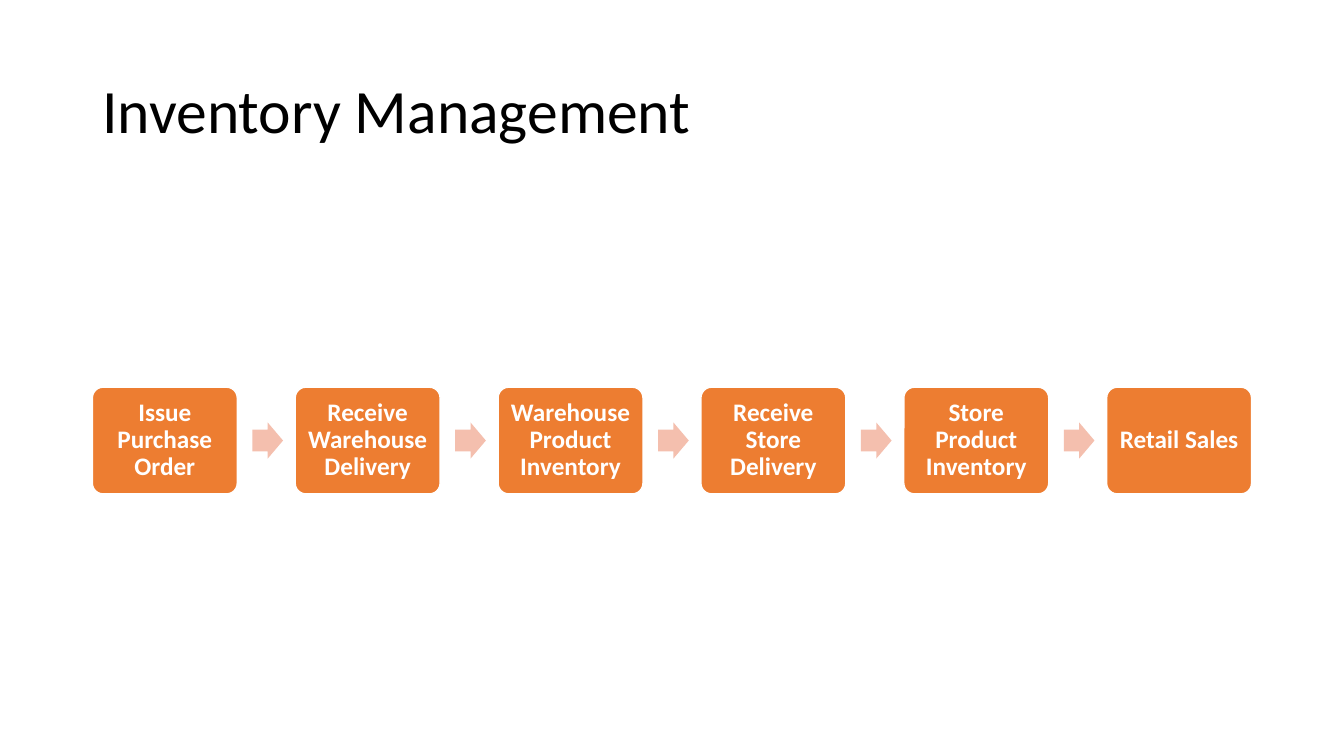
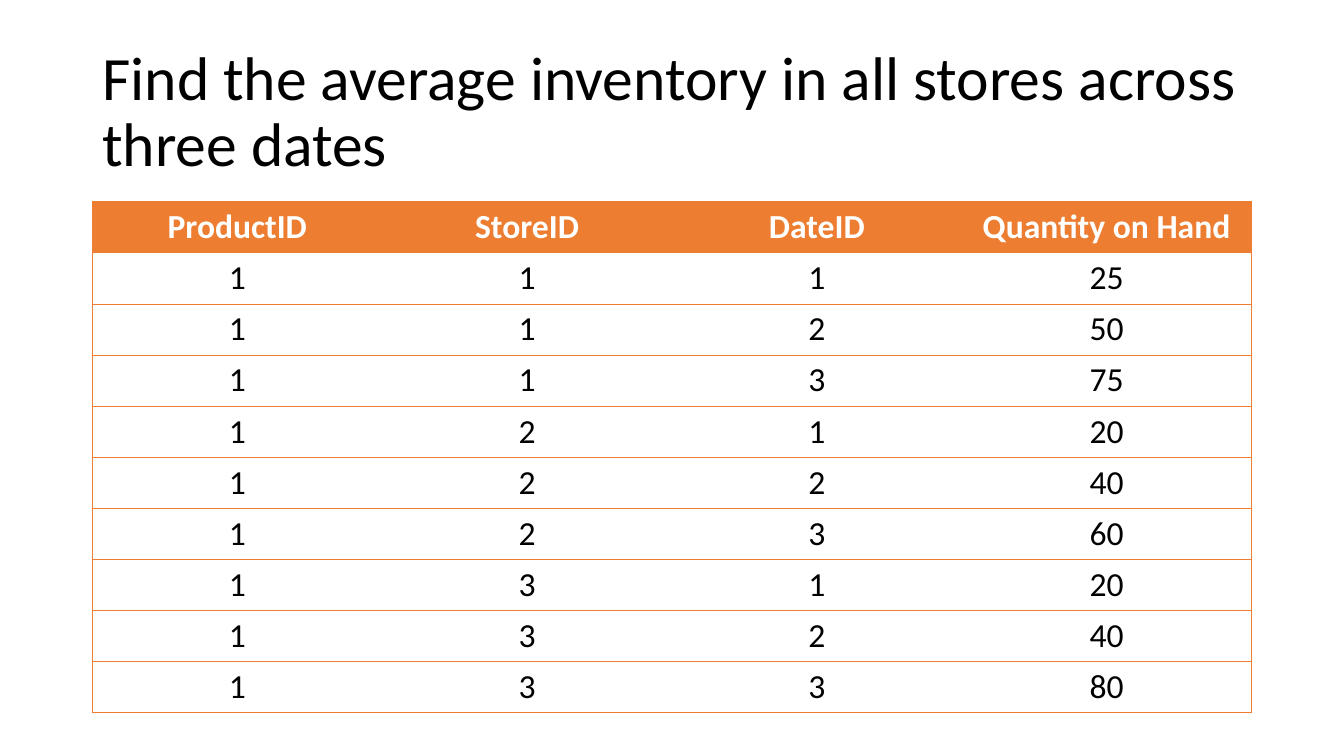
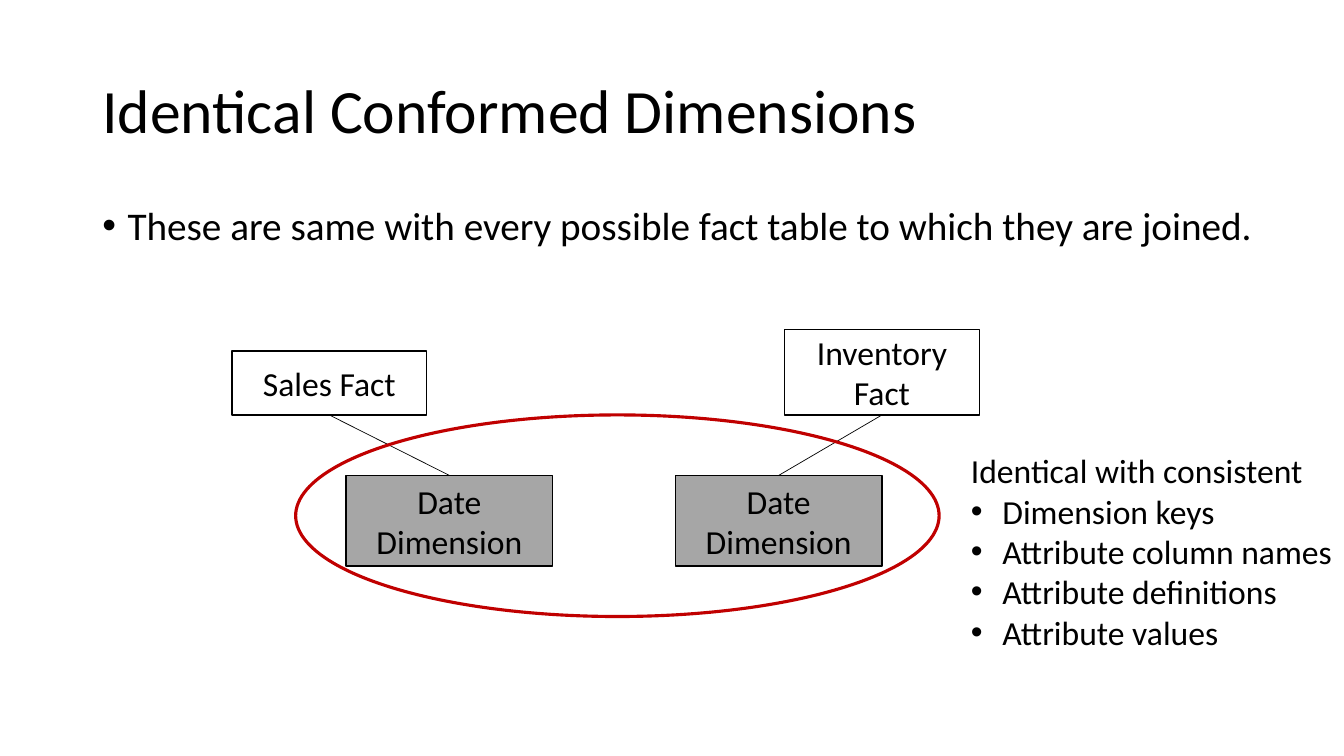
import lxml.etree
import pptx
import pptx.dml.color
import pptx.enum.shapes
import pptx.enum.text
import pptx.oxml.ns
import pptx.util

SHAPES = pptx.enum.shapes.MSO_SHAPE
ALIGN = pptx.enum.text.PP_ALIGN
ANCHOR = pptx.enum.text.MSO_ANCHOR
FIT = pptx.enum.text.MSO_AUTO_SIZE

COLORS = {
    "ink": "000000",
    "paper": "FFFFFF",
    "accent": "ED7D31",
    "arrow": "F4BFAE",
    "dimension": "A6A6A6",
    "highlight": "C00000",
}
FONT = "Calibri"
COLUMNS, ROWS = 160, 90  # grid cells are square, twelve to the inch
MARGIN, CONTENT_WIDTH, CONTENT_TOP = 11, 138, 24


def color(name):
    return pptx.dml.color.RGBColor.from_string(COLORS[name])


def add_xml(parent, tag, **attributes):
    return lxml.etree.SubElement(parent, pptx.oxml.ns.qn(tag), attributes)


class Pages:
    """Holds the deck, its style and the current page; lengths are grid cells."""

    def __init__(self):
        self.deck = pptx.Presentation()
        self.deck.slide_width = pptx.util.Inches(13.33)
        self.deck.slide_height = pptx.util.Inches(7.5)
        self.page = None

    def across(self, columns):
        return pptx.util.Emu(round(self.deck.slide_width * columns / COLUMNS))

    def down(self, rows):
        return pptx.util.Emu(round(self.deck.slide_height * rows / ROWS))

    def area(self, left, top, width, height):
        return self.across(left), self.down(top), self.across(width), self.down(height)

    def new_page(self, title):
        self.page = self.deck.slides.add_slide(self.deck.slide_layouts[6])
        self.text((MARGIN, 4.8, CONTENT_WIDTH, 17.4), [title], 44,
                  anchor=ANCHOR.MIDDLE, spacing=0.9)

    def fill_text(self, frame, lines, size, ink="ink", bold=False, align=ALIGN.LEFT,
                  spacing=1.0, indent=0, first_bullet=0):
        """Fill a frame; lines from first_bullet on get bullets if indent is set."""
        frame.text = "\n".join(lines)
        for number, para in enumerate(frame.paragraphs):
            if indent and number >= first_bullet:
                hang = self.across(indent)
                properties = para._p.get_or_add_pPr()
                properties.set("marL", str(hang))
                properties.set("indent", str(-hang))
                add_xml(properties, "a:buFont", typeface="Arial")
                add_xml(properties, "a:buChar", char="•")
            para.alignment = align
            para.line_spacing = spacing
            for span in para.runs:
                span.font.name = FONT
                span.font.size = pptx.util.Pt(size)
                span.font.bold = bold
                span.font.color.rgb = color(ink)

    def text(self, area, lines, size, anchor=ANCHOR.TOP, wrap=True, **style):
        frame = self.page.shapes.add_textbox(*self.area(*area)).text_frame
        frame.word_wrap = wrap
        frame.auto_size = FIT.NONE if wrap else FIT.SHAPE_TO_FIT_TEXT
        frame.vertical_anchor = anchor
        self.fill_text(frame, lines, size, **style)

    def shape(self, kind, area, fill=None, line=None, weight=1, adjust=()):
        shape = self.page.shapes.add_shape(kind, *self.area(*area))
        shape.shadow.inherit = False
        for index, value in enumerate(adjust):
            shape.adjustments[index] = value
        if fill:
            shape.fill.solid()
            shape.fill.fore_color.rgb = color(fill)
        else:
            shape.fill.background()
        if line:
            shape.line.color.rgb = color(line)
            shape.line.width = pptx.util.Pt(weight)
        else:
            shape.line.fill.background()
        return shape

    def box(self, label, area, fill):
        box = self.shape(SHAPES.RECTANGLE, area, fill, "ink")
        box.text_frame.word_wrap = True
        box.text_frame.vertical_anchor = ANCHOR.MIDDLE
        self.fill_text(box.text_frame, [label], 24, align=ALIGN.CENTER)
        return box

    def join(self, upper, lower):
        """Link the bottom of one box to the top of another."""
        line = self.page.shapes.add_connector(
            pptx.enum.shapes.MSO_CONNECTOR.STRAIGHT, 0, 0, 0, 0)
        line.begin_connect(upper, 2)
        line.end_connect(lower, 0)
        line.line.color.rgb = color("ink")
        line.line.width = pptx.util.Pt(0.5)
        add_xml(line._element.spPr, "a:effectLst")

    def process(self, steps, middle, width, height):
        """A row of step boxes across the content width, with arrows between."""
        pitch = (CONTENT_WIDTH - width) / (len(steps) - 1)
        arrow_width, arrow_height = 3.65, 4.3
        for number, step in enumerate(steps):
            left = MARGIN + number * pitch
            box = self.shape(SHAPES.ROUNDED_RECTANGLE,
                             (left, middle - height / 2, width, height),
                             "accent", "paper", adjust=[0.1])
            frame = box.text_frame
            frame.word_wrap = True
            frame.vertical_anchor = ANCHOR.MIDDLE
            frame.margin_left = frame.margin_right = pptx.util.Inches(0.07)
            self.fill_text(frame, [step], 18, "paper", True, ALIGN.CENTER, 0.9)
            if number < len(steps) - 1:
                self.shape(SHAPES.RIGHT_ARROW,
                           (left + width + 1.8, middle - arrow_height / 2,
                            arrow_width, arrow_height),
                           "arrow", adjust=[0.6, 0.5])

    def border(self, cell, side, visible):
        line = add_xml(cell._tc.get_or_add_tcPr(), "a:ln" + side,
                       w=str(pptx.util.Pt(0.5)))
        if visible:
            fill = add_xml(line, "a:solidFill")
            add_xml(fill, "a:srgbClr", val=COLORS["accent"])
        else:
            add_xml(line, "a:noFill")

    def table(self, records, row_height):
        last = len(records[0]) - 1
        area = (MARGIN, CONTENT_TOP, CONTENT_WIDTH, row_height * len(records))
        table = self.page.shapes.add_table(
            len(records), last + 1, *self.area(*area)).table
        for row, record in enumerate(records):
            header = row == 0
            for column, value in enumerate(record):
                cell = table.cell(row, column)
                # Frame the table and rule its rows, leave columns open
                for side, visible in (("L", column == 0), ("R", column == last),
                                      ("T", True), ("B", True)):
                    self.border(cell, side, visible)
                cell.fill.solid()
                cell.fill.fore_color.rgb = color("accent" if header else "paper")
                self.fill_text(cell.text_frame, [str(value)], 24,
                               "paper" if header else "ink", header, ALIGN.CENTER)


def main():
    pages = Pages()

    # Process
    pages.new_page("Inventory Management")
    pages.process(["Issue Purchase Order", "Receive Warehouse Delivery",
                   "Warehouse Product Inventory", "Receive Store Delivery",
                   "Store Product Inventory", "Retail Sales"],
                  middle=52.45, width=17.25, height=12.7)

    # Inventory table
    pages.new_page("Find the average inventory in all stores across three dates")
    store_quantities = [(25, 50, 75), (20, 40, 60), (20, 40, 80)]
    records = [("ProductID", "StoreID", "DateID", "Quantity on Hand")]
    for store, quantities in enumerate(store_quantities, 1):
        for date, quantity in enumerate(quantities, 1):
            records.append((1, store, date, quantity))
    pages.table(records, row_height=6)

    # Conformed dimensions
    pages.new_page("Identical Conformed Dimensions")
    pages.text((MARGIN, CONTENT_TOP, 141.4, 57), [
        "These are same with every possible fact table to which they are joined."],
        28, spacing=0.9, indent=3)
    fact_bottom = 49.4
    for fact, fact_left, fact_height, date_left in (
            ("Sales Fact", 27.6, 7.6, 41.2), ("Inventory Fact", 93.4, 10.2, 80.4)):
        fact_box = pages.box(
            fact, (fact_left, fact_bottom - fact_height, 23.2, fact_height), "paper")
        date_box = pages.box("Date Dimension", (date_left, 56.6, 24.6, 10.8), "dimension")
        pages.join(fact_box, date_box)
    pages.shape(SHAPES.OVAL, (35.2, fact_bottom, 76.6, 24),
                line="highlight", weight=2.25)
    pages.text((114.4, 53, 45.6, 25.4), [
        "Identical with consistent", "Dimension keys", "Attribute column names",
        "Attribute definitions", "Attribute values"],
        24, wrap=False, indent=3.75, first_bullet=1)

    pages.deck.save("out.pptx")


if __name__ == "__main__":
    main()
